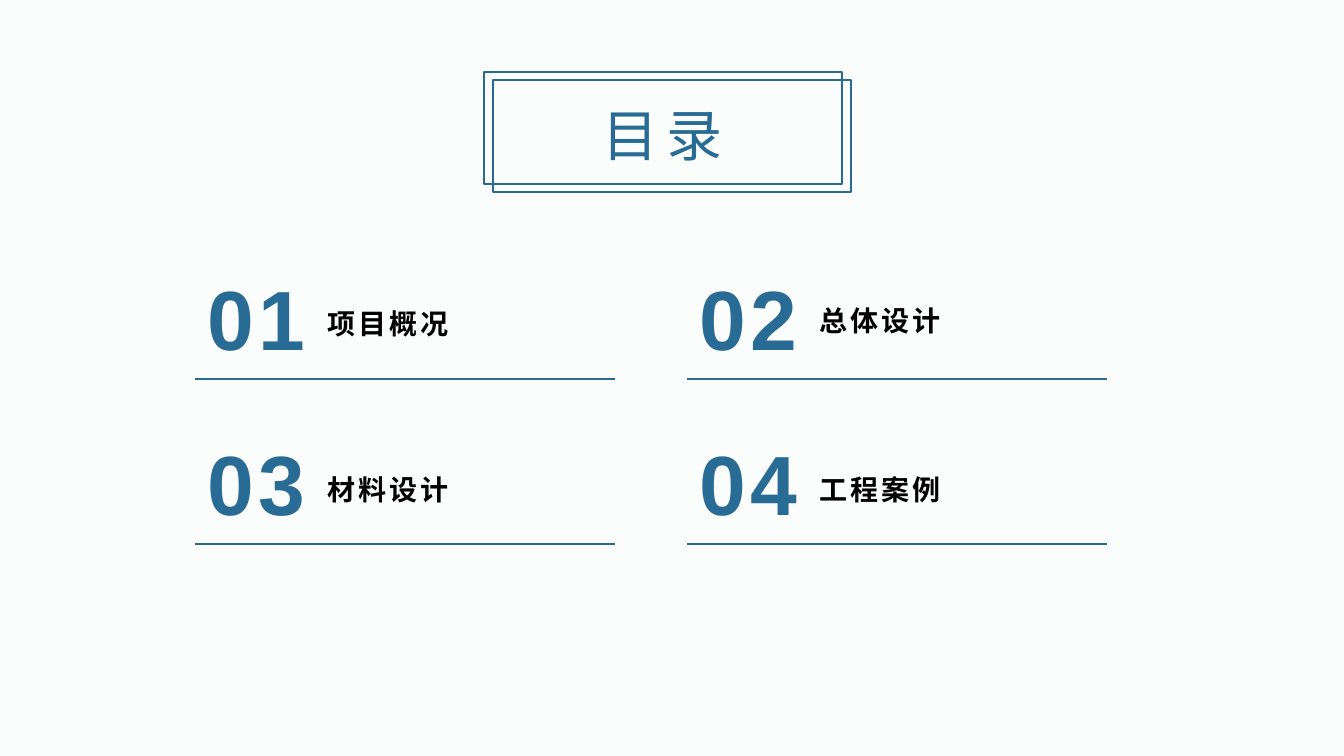
from lxml import etree
from pptx import Presentation
from pptx.dml.color import RGBColor
from pptx.enum.shapes import MSO_CONNECTOR, MSO_SHAPE
from pptx.enum.text import MSO_ANCHOR, PP_ALIGN
from pptx.oxml.ns import qn
from pptx.util import Pt

LINE = MSO_CONNECTOR.STRAIGHT
RECT = MSO_SHAPE.RECTANGLE
MID, LOW = MSO_ANCHOR.MIDDLE, MSO_ANCHOR.BOTTOM
LEFT, MID_X = PP_ALIGN.LEFT, PP_ALIGN.CENTER

TITLE = "目录"
ITEMS = [
    ("项目概况", 37, 294),
    ("总体设计", 34, 294),
    ("材料设计", 38, 152),
    ("工程案例", 38, 148),
]
FRAMES = [(484, 72), (493, 80)]
COLORS = {"blue": "286C95", "ink": "000000", "page": "FBFCFC"}
FONT = "Arial"
COLS = 2
GRID_X, GRID_Y = 195, 261
STEP_X, STEP_Y = 492, 165
NUM_W, NUM_H = 123, 112
RULE_W, RULE_Y = 420, 118


def px(n):
    return round(n * 914400 / 100.8)


def color(name):
    return RGBColor.from_string(COLORS[name])


def add_text(slide, text, box, size, tone, gap, bold=False,
             align=MID_X, anchor=LOW):
    frame = slide.shapes.add_textbox(*map(px, box)).text_frame
    frame.word_wrap = True
    frame.vertical_anchor = anchor
    frame.text = text
    par = frame.paragraphs[0]
    par.alignment = align
    run = par.runs[0]
    font = run.font
    font.name, font.size, font.bold = FONT, Pt(size), bold
    font.color.rgb = color(tone)
    props = run._r.get_or_add_rPr()
    props.set("spc", str(gap * 100))
    etree.SubElement(props, qn("a:ea")).set("typeface", FONT)
    return frame


def add_rule(slide, x, y):
    rule = slide.shapes.add_connector(
        LINE, px(x), px(y), px(x + RULE_W), px(y))
    rule.line.color.rgb = color("blue")
    rule.line.width = Pt(1.5)
    etree.SubElement(rule._element.spPr, qn("a:effectLst"))


def add_item(slide, i, label, drop, width):
    row, col = divmod(i, COLS)
    x, y = GRID_X + col * STEP_X, GRID_Y + row * STEP_Y
    frame = add_text(slide, label, (x + NUM_W, y + drop, width, 42),
                     20, "ink", 2, True, LEFT)
    frame.margin_bottom = 0
    frame.paragraphs[0].line_spacing = 1.1
    add_text(slide, f"{i + 1:02}", (x, y, NUM_W, NUM_H),
             60, "blue", 3, True, anchor=MID)
    add_rule(slide, x, y + RULE_Y)


def add_frame(slide, x, y):
    box = slide.shapes.add_shape(RECT, px(x), px(y), px(358), px(112))
    box.shadow.inherit = False
    box.fill.background()
    box.line.color.rgb = color("blue")
    box.line.width = Pt(1)


def main():
    deck = Presentation()
    deck.slide_width, deck.slide_height = px(1344), px(756)
    slide = deck.slides.add_slide(deck.slide_layouts[6])
    fill = slide.background.fill
    fill.solid()
    fill.fore_color.rgb = color("page")
    for i, item in enumerate(ITEMS):
        add_item(slide, i, *item)
    add_text(slide, TITLE, (539, 92, 247, 81), 40, "blue", 6)
    for spot in FRAMES:
        add_frame(slide, *spot)
    deck.save("out.pptx")


if __name__ == "__main__":
    main()
